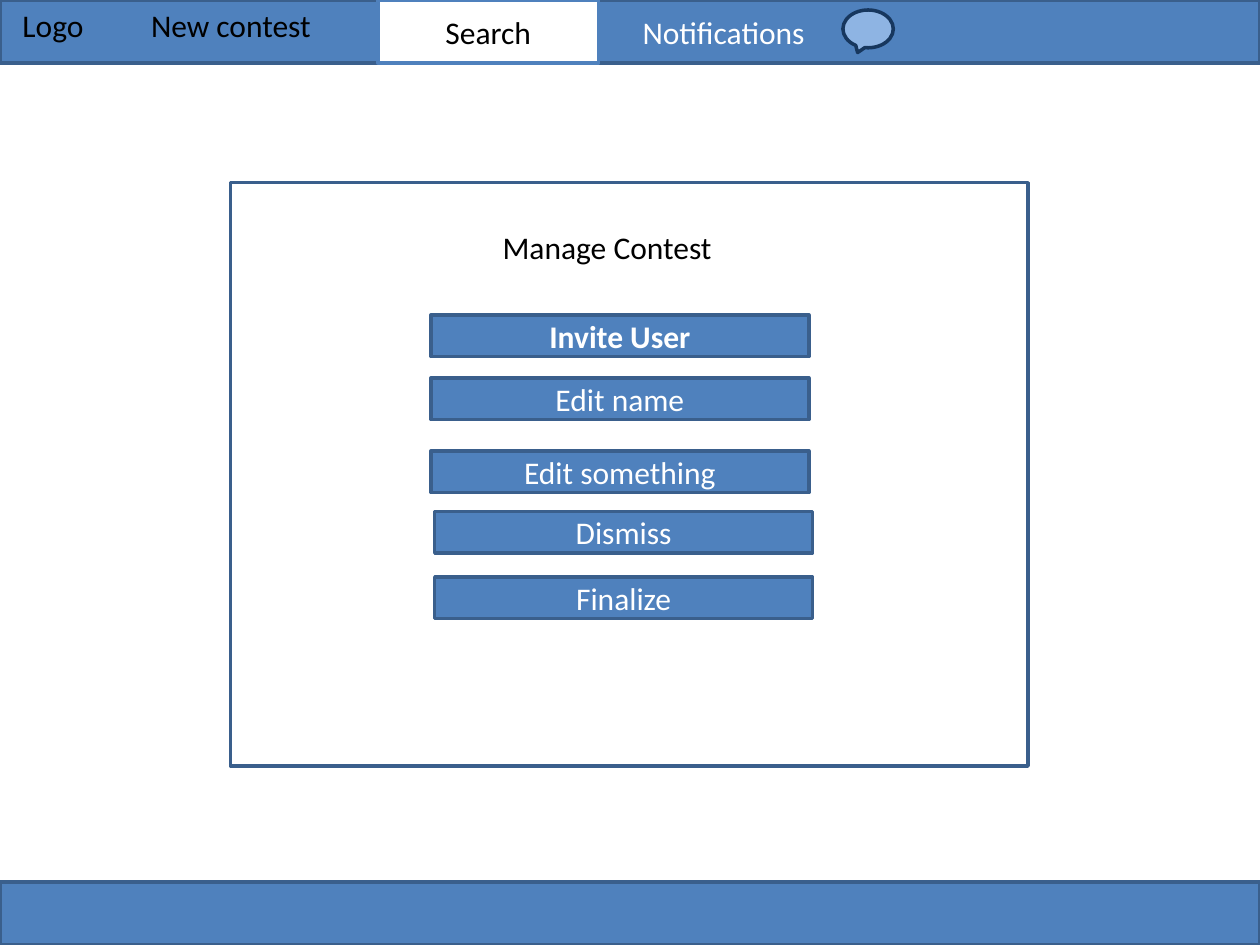
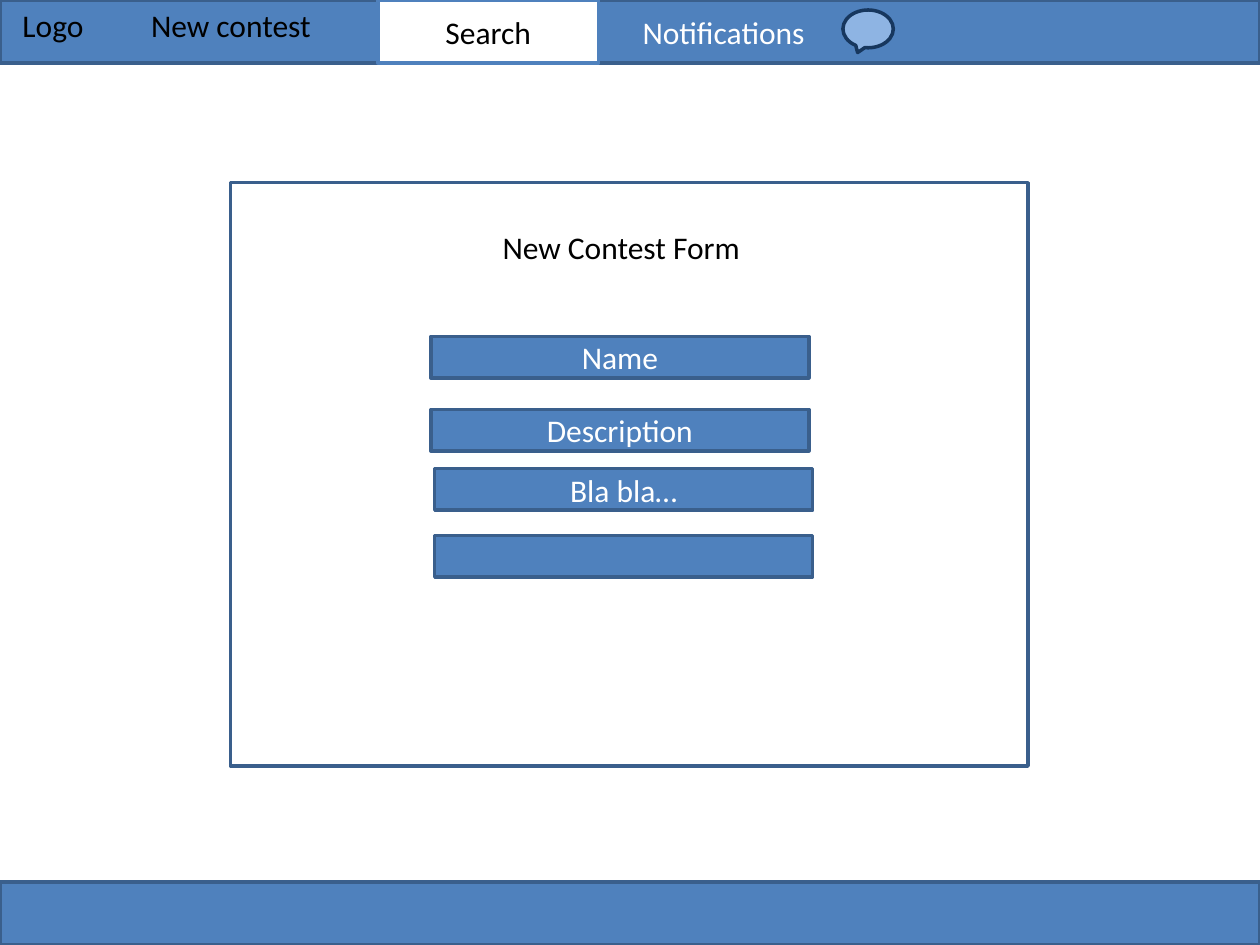
"""Build two contest wireframe slides that share a navigation bar, panel and footer."""
from pptx import Presentation
from pptx.dml.color import RGBColor
from pptx.enum.shapes import MSO_SHAPE
from pptx.enum.text import MSO_ANCHOR, MSO_AUTO_SIZE, PP_ALIGN
from pptx.util import Inches, Pt

RECTANGLE = MSO_SHAPE.RECTANGLE
SPEECH_BUBBLE = MSO_SHAPE.OVAL_CALLOUT
MIDDLE = MSO_ANCHOR.MIDDLE
FIT_TEXT = MSO_AUTO_SIZE.SHAPE_TO_FIT_TEXT
LEFT, CENTER = PP_ALIGN.LEFT, PP_ALIGN.CENTER

BLUE, EDGE, WHITE, BLACK = "4F81BD", "3A5F8C", "FFFFFF", "000000"
BUBBLE_FILL, BUBBLE_EDGE = "8EB4E3", "17375E"
BAR_HEIGHT = 0.5
BUTTON_WIDTH, BUTTON_HEIGHT = 3, 0.33

SLIDES = [
    ("Manage Contest", 1.88, [
        ("Invite User", 3.42, 2.5, True),
        ("Edit name", 3.42, 3, False),
        ("Edit something", 3.42, 3.58, False),
        ("Dismiss", 3.45, 4.06, False),
        ("Finalize", 3.45, 4.58, False),
    ]),
    ("New Contest Form", 2.11, [
        ("Name", 3.42, 2.67, False),
        ("Description", 3.42, 3.25, False),
        ("Bla bla…", 3.45, 3.72, False),
        ("", 3.45, 4.25, False),
    ]),
]


def write_text(shape, text, color=WHITE, align=CENTER, bold=None):
    paragraph = shape.text_frame.paragraphs[0]
    paragraph.alignment = align
    run = paragraph.add_run()
    run.text = text
    run.font.name = "Calibri"
    run.font.size = Pt(18)
    run.font.bold = bold
    run.font.color.rgb = RGBColor.from_string(color)


def add_block(slide, left, top, width, height, fill=BLUE, line=EDGE, kind=RECTANGLE):
    shape = slide.shapes.add_shape(kind, Inches(left), Inches(top), Inches(width), Inches(height))
    shape.shadow.inherit = False
    if fill:
        shape.fill.solid()
        shape.fill.fore_color.rgb = RGBColor.from_string(fill)
    else:
        shape.fill.background()
    shape.line.color.rgb = RGBColor.from_string(line)
    shape.line.width = Pt(2)
    shape.text_frame.vertical_anchor = MIDDLE
    return shape


presentation = Presentation()
presentation.slide_width = Inches(10)
presentation.slide_height = Inches(7.5)

for title, title_width, buttons in SLIDES:
    slide = presentation.slides.add_slide(presentation.slide_layouts[6])

    navigation_bar = add_block(slide, 0, 0, 10, BAR_HEIGHT)
    navigation_bar.text_frame.margin_left = Inches(5.1)
    write_text(navigation_bar, "Notifications", align=LEFT)
    search_tab = add_block(slide, 3, 0, 1.75, BAR_HEIGHT, fill=WHITE, line=BLUE)
    write_text(search_tab, "Search", color=BLACK)
    add_block(slide, 6.69, 0.08, 0.4, 0.3, BUBBLE_FILL, BUBBLE_EDGE, SPEECH_BUBBLE)
    add_block(slide, 0, 7.5 - BAR_HEIGHT, 10, BAR_HEIGHT)
    add_block(slide, 1.83, 1.45, 6.33, 4.63, fill=None)

    labels = [("Logo", 0.08, 0, 0.69), ("New contest", 1.1, 0, 1.48), (title, 3.89, 1.76, title_width)]
    for text, left, top, width in labels:
        label = slide.shapes.add_textbox(Inches(left), Inches(top), Inches(width), Inches(0.4))
        label.text_frame.word_wrap = False
        label.text_frame.auto_size = FIT_TEXT
        write_text(label, text, color=BLACK, align=LEFT)

    for text, left, top, bold in buttons:
        button = add_block(slide, left, top, BUTTON_WIDTH, BUTTON_HEIGHT)
        if text:
            write_text(button, text, bold=bold)

presentation.save("out.pptx")
